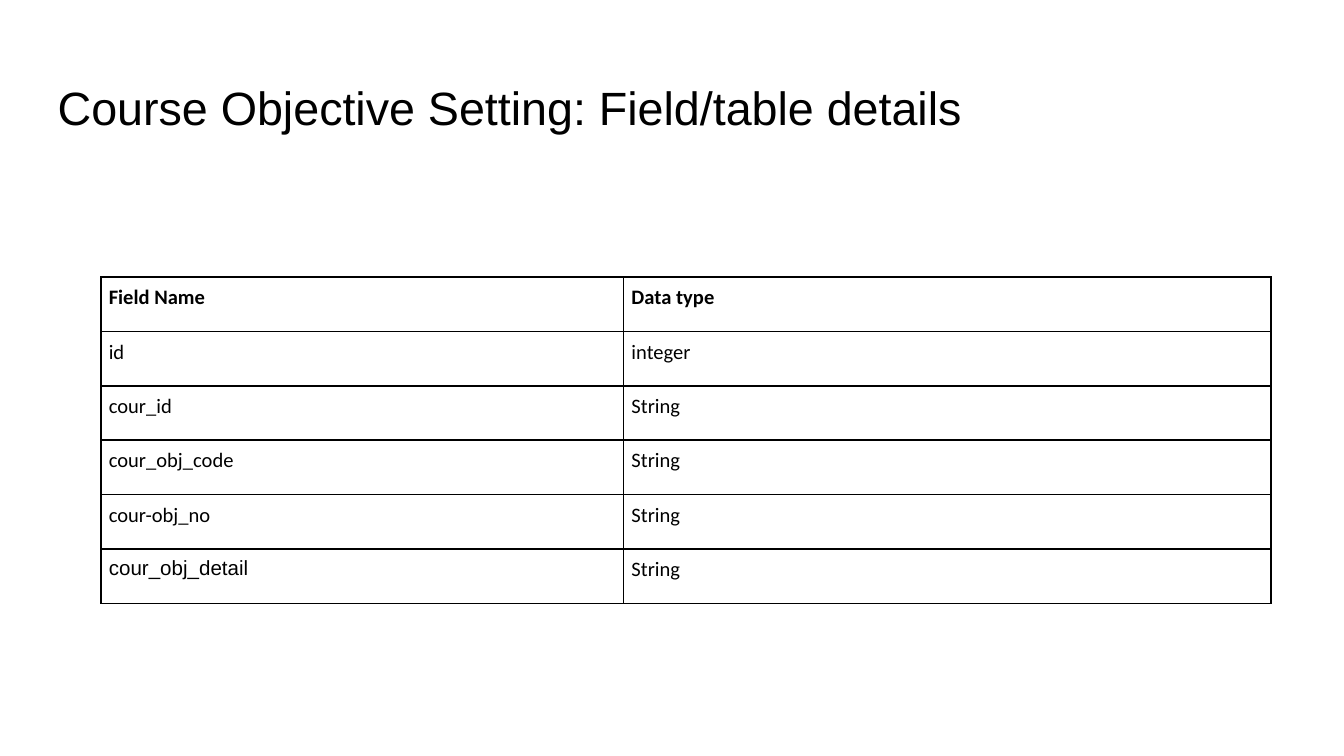
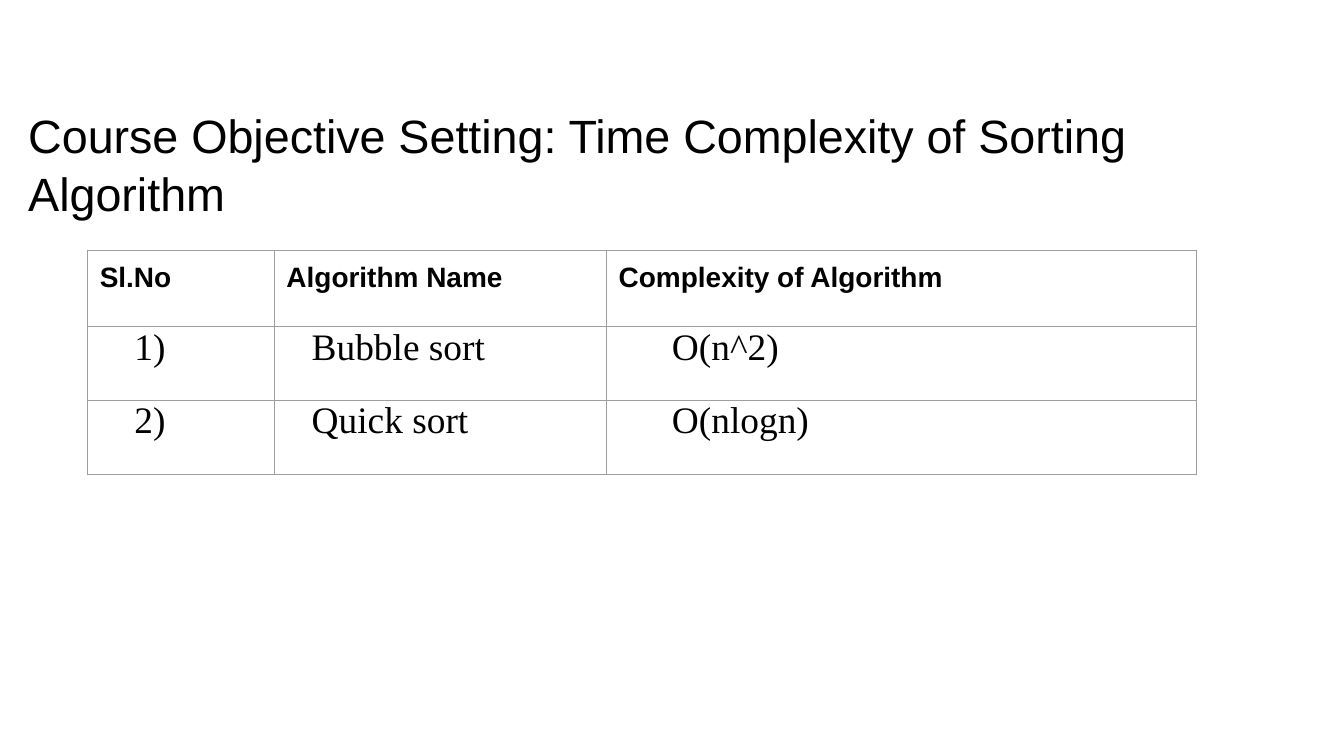
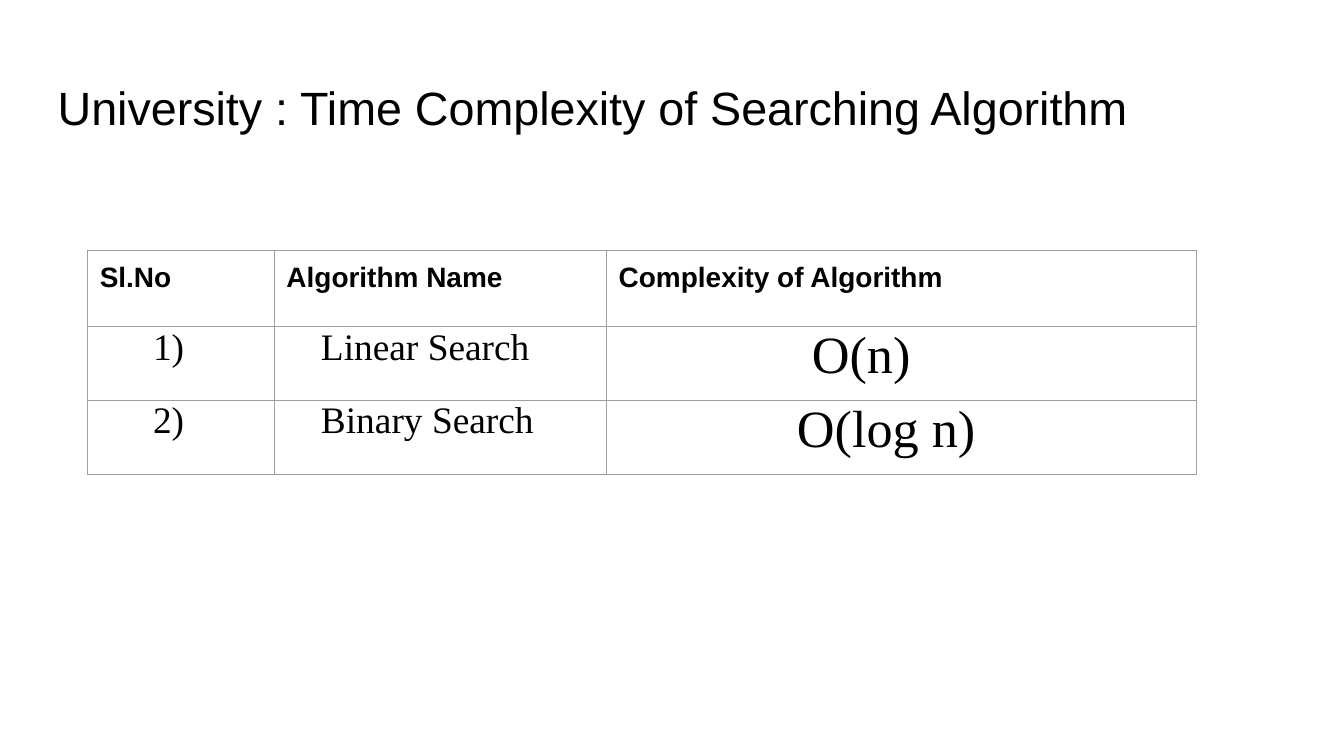
from dataclasses import dataclass

from lxml import etree
from pptx import Presentation
from pptx.dml.color import RGBColor
from pptx.enum.text import MSO_ANCHOR, MSO_AUTO_SIZE, PP_ALIGN
from pptx.oxml.ns import qn
from pptx.util import Pt

LEFT = PP_ALIGN.LEFT
TOP = MSO_ANCHOR.TOP
GROW = MSO_AUTO_SIZE.SHAPE_TO_FIT_TEXT
TITLE_ONLY = 5


@dataclass(frozen=True)
class Theme:
    ink: str = "000000"
    grid: str = "9E9E9E"
    sans: str = "Arial"
    field: str = "Calibri"
    serif: str = "Times New Roman"
    title_size: float = 25
    field_size: float = 11
    header_size: float = 15
    body_size: float = 20
    formula_size: float = 28


@dataclass(frozen=True)
class CellStyle:
    font: str
    size: float
    bold: bool = False
    left: float = 0
    top: float = 0
    before: float = 0


THEME = Theme()
FIELD = CellStyle(THEME.field, THEME.field_size, left=4.3, top=4.3, before=4)
FIELD_HEADER = CellStyle(THEME.field, THEME.field_size, True, 4.3, 4.3, 4)
FIELD_SANS = CellStyle(THEME.sans, THEME.field_size, left=4.3, top=4.3, before=4)
HEADER = CellStyle(THEME.sans, THEME.header_size, True, 6.5, 6.5, 6.2)
SORT_NUMBER = CellStyle(THEME.serif, THEME.body_size, left=25)
SORT_NAME = CellStyle(THEME.serif, THEME.body_size, left=20)
SORT_FORMULA = CellStyle(THEME.serif, THEME.body_size, left=35)
SEARCH_NUMBER = CellStyle(THEME.serif, THEME.body_size, left=35)
SEARCH_NAME = CellStyle(THEME.serif, THEME.body_size, left=25)
LINEAR_FORMULA = CellStyle(THEME.serif, THEME.formula_size, left=110)
BINARY_FORMULA = CellStyle(THEME.serif, THEME.formula_size, left=102)

FIELDS = [
    ("id", "integer"),
    ("cour_id", "String"),
    ("cour_obj_code", "String"),
    ("cour-obj_no", "String"),
    ("cour_obj_detail", "String"),
]
ALGORITHM_HEADER = [(text, HEADER) for text in
                    ("Sl.No", "Algorithm Name", "Complexity of Algorithm")]

field_rows = [[("Field Name", FIELD_HEADER), ("Data type", FIELD_HEADER)]]
for name, data_type in FIELDS:
    name_style = FIELD_SANS if name == "cour_obj_detail" else FIELD
    field_rows.append([(name, name_style), (data_type, FIELD)])
sort_rows = [
    ALGORITHM_HEADER,
    [("1)", SORT_NUMBER), ("Bubble sort", SORT_NAME), ("O(n^2)", SORT_FORMULA)],
    [("2)", SORT_NUMBER), ("Quick sort", SORT_NAME), ("O(nlogn)", SORT_FORMULA)],
]
search_rows = [
    ALGORITHM_HEADER,
    [("1)", SEARCH_NUMBER), ("Linear Search", SEARCH_NAME), ("O(n)", LINEAR_FORMULA)],
    [("2)", SEARCH_NUMBER), ("Binary Search", SEARCH_NAME), ("O(log n)", BINARY_FORMULA)],
]

FIELD_GRID = {"at": (54, 148.4), "widths": (280, 347), "heights": (29.16,) * 6,
              "border": (THEME.ink, 1)}
ALGORITHM_GRID = {"at": (47, 134), "widths": (100, 178, 316), "heights": (41, 39.6, 39.6),
                  "border": (THEME.grid, 0.75)}
TITLE_BOX = (30.2, 39.6, 659.5, 32.4)
TALL_TITLE_BOX = (14.4, 54.7, 659.5, 62)

PAGES = [
    ("Course Objective Setting: Field/table details", TITLE_BOX, FIELD_GRID, field_rows),
    ("Course Objective Setting: Time Complexity of Sorting Algorithm",
     TALL_TITLE_BOX, ALGORITHM_GRID, sort_rows),
    ("University : Time Complexity of Searching Algorithm",
     TITLE_BOX, ALGORITHM_GRID, search_rows),
]


def format_paragraph(para, font, size, bold, before):
    para.alignment = LEFT
    para.space_before = Pt(before)
    para.font.name = font
    para.font.size = Pt(size)
    para.font.bold = bold
    para.font.color.rgb = RGBColor.from_string(THEME.ink)


def add_borders(cell, color, width):
    properties = cell._tc.get_or_add_tcPr()
    for side in ("a:lnL", "a:lnR", "a:lnT", "a:lnB"):
        line = etree.SubElement(properties, qn(side), w=str(Pt(width)))
        fill = etree.SubElement(line, qn("a:solidFill"))
        etree.SubElement(fill, qn("a:srgbClr"), val=color)


deck = Presentation()
deck.slide_width, deck.slide_height = Pt(720), Pt(405)

for title, title_box, grid, rows in PAGES:
    page = deck.slides.add_slide(deck.slide_layouts[TITLE_ONLY])

    box = page.shapes.title
    box.left, box.top, box.width, box.height = map(Pt, title_box)
    frame = box.text_frame
    frame.text = title
    frame.word_wrap = True
    frame.auto_size = GROW
    frame.vertical_anchor = TOP
    frame.margin_left = Pt(0.7)
    frame.margin_top = Pt(1.3)
    frame.margin_right = frame.margin_bottom = 0
    format_paragraph(frame.paragraphs[0], THEME.sans, THEME.title_size, False, 1.2)
    frame.paragraphs[0].line_spacing = 1.04

    widths, heights = grid["widths"], grid["heights"]
    left, top = grid["at"]
    table = page.shapes.add_table(len(heights), len(widths), Pt(left), Pt(top),
                                  Pt(sum(widths)), Pt(sum(heights))).table
    table.first_row = table.horz_banding = False
    for column, width in zip(table.columns, widths):
        column.width = Pt(width)
    for table_row, height, row in zip(table.rows, heights, rows):
        table_row.height = Pt(height)
        for cell, (text, style) in zip(table_row.cells, row):
            cell.text = text
            cell.margin_left, cell.margin_top = Pt(style.left), Pt(style.top)
            cell.margin_right = cell.margin_bottom = 0
            cell.vertical_anchor = TOP
            add_borders(cell, *grid["border"])
            cell.fill.background()
            format_paragraph(cell.text_frame.paragraphs[0], style.font, style.size,
                             style.bold, style.before)

deck.save("out.pptx")
